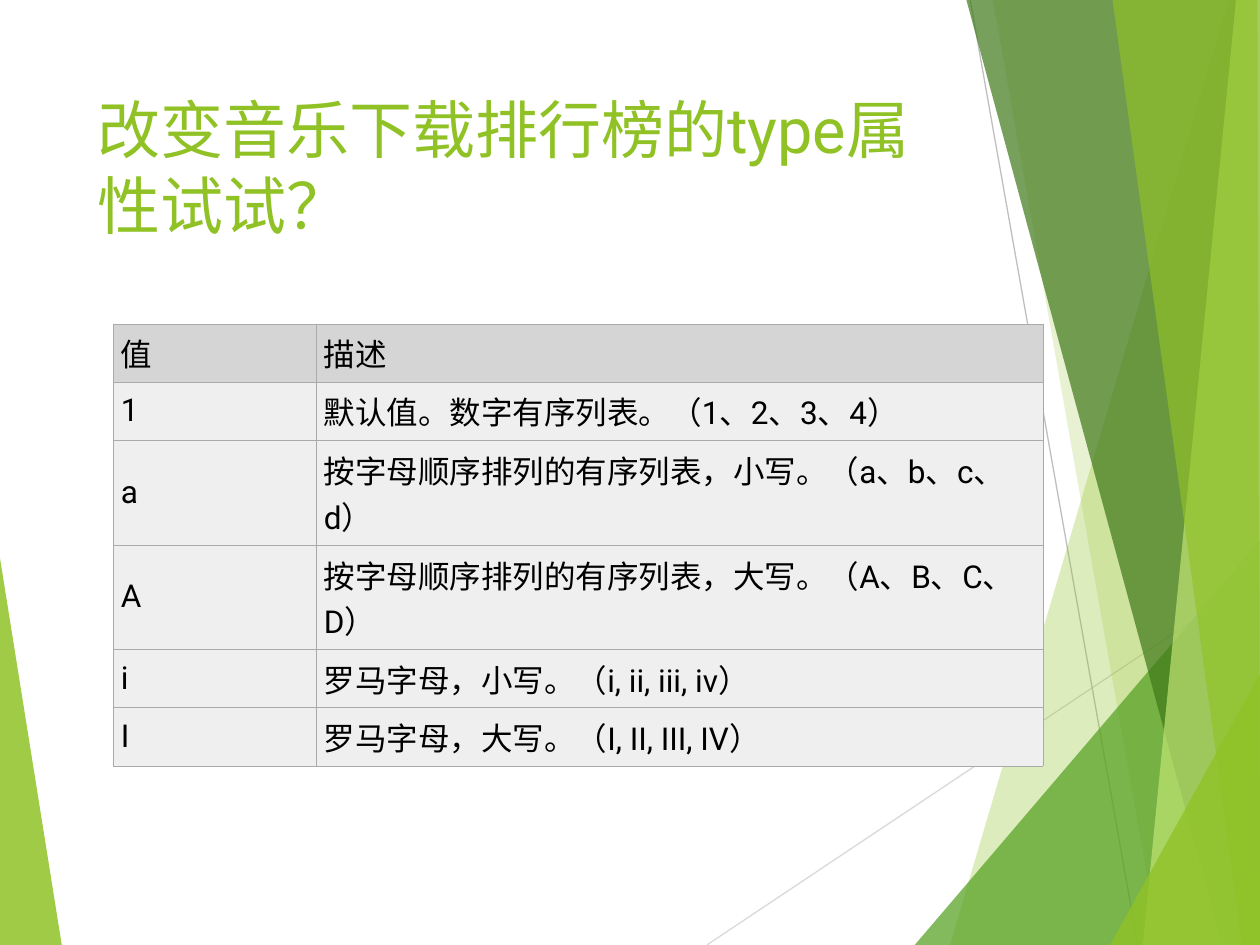
from dataclasses import dataclass

from lxml import etree
from pptx import Presentation
from pptx.dml.color import RGBColor
from pptx.enum.shapes import MSO_CONNECTOR
from pptx.enum.text import MSO_ANCHOR, MSO_AUTO_SIZE, PP_ALIGN
from pptx.oxml.ns import qn
from pptx.util import Inches, Pt

STRAIGHT = MSO_CONNECTOR.STRAIGHT
TOP = MSO_ANCHOR.TOP
MIDDLE = MSO_ANCHOR.MIDDLE
LEFT = PP_ALIGN.LEFT
NO_AUTOFIT = MSO_AUTO_SIZE.NONE
WIDTH, HEIGHT = 10, 7.5


@dataclass(frozen=True)
class Theme:
    font: str = "Roboto"
    title_size: float = 36
    body_size: float = 18
    accent: str = "90C226"
    leaf: str = "54A021"
    forest: str = "3F7819"
    lime: str = "C0E474"
    text: str = "000000"
    header_fill: str = "D5D5D5"
    body_fill: str = "EFEFEF"
    border: str = "AAAAAA"
    border_width: float = 0.34
    ray_width: float = 0.74


THEME = Theme()

# Thin rays: start, end, colour
RAYS = [
    ((5.61, HEIGHT), (WIDTH, 4.57), "D9D9D9"),
    ((7.7, 0), (9.03, HEIGHT), "BFBFBF"),
]

# Translucent facets, back to front: corners, colour, opacity in percent
LEFT_FACET = ([(0, 4.43), (0.49, HEIGHT), (0, HEIGHT)], THEME.accent, 85)


def band(top_left, bottom_left, top=0):
    """Corners of a facet that reaches the right edge of the slide."""
    return [(top_left, top), (bottom_left, HEIGHT), (WIDTH, HEIGHT), (WIDTH, top)]


RIGHT_FACETS = [
    (band(9.75, 7.54), THEME.accent, 30),
    (band(7.88, 9.2), THEME.accent, 20),
    (band(WIDTH, 7.26, 4.29)[:3], THEME.leaf, 72),
    (band(7.67, 9.7), THEME.forest, 70),
    (band(9.81, 9.07), THEME.lime, 70),
    ([(8.83, 0), (9.86, HEIGHT), (WIDTH, HEIGHT), (9.98, 0)], THEME.accent, 65),
    (band(WIDTH, 8.81, 5.35)[:3], THEME.accent, 80),
]

TITLE = "改变音乐下载排行榜的type属性试试？"
COLUMNS = [1.61, 5.77]
ONE_LINE, TWO_LINES = 0.46, 0.83
ROWS = [
    (ONE_LINE, "值", "描述"),
    (ONE_LINE, "1", "默认值。数字有序列表。（1、2、3、4）"),
    (TWO_LINES, "a", "按字母顺序排列的有序列表，小写。（a、b、c、d）"),
    (TWO_LINES, "A", "按字母顺序排列的有序列表，大写。（A、B、C、D）"),
    (ONE_LINE, "i", "罗马字母，小写。（i, ii, iii, iv）"),
    (ONE_LINE, "I", "罗马字母，大写。（I, II, III, IV）"),
]


def set_values(target, values):
    for name, value in values.items():
        setattr(target, name, value)


def write_text(frame, text, size, color):
    paragraph = frame.paragraphs[0]
    paragraph.alignment = LEFT
    span = paragraph.add_run()
    span.text = text
    set_values(span.font, {"name": THEME.font, "size": Pt(size), "bold": False})
    span.font.color.rgb = RGBColor.from_string(color)
    return span


def add_ray(page, start, end, color):
    points = [Inches(value) for value in (*start, *end)]
    ray = page.shapes.add_connector(STRAIGHT, *points)
    ray.line.color.rgb = RGBColor.from_string(color)
    ray.line.width = Pt(THEME.ray_width)
    etree.SubElement(ray._element.spPr, qn("a:effectLst"))


def add_facet(page, corners, color, opacity):
    points = [(Inches(x), Inches(y)) for x, y in corners]
    builder = page.shapes.build_freeform(*points[0])
    builder.add_line_segments(points[1:], close=True)
    facet = builder.convert_to_shape()
    facet.shadow.inherit = False
    facet.line.fill.background()
    facet.fill.solid()
    facet.fill.fore_color.rgb = RGBColor.from_string(color)
    color_node = facet._element.spPr.find(".//" + qn("a:srgbClr"))
    etree.SubElement(color_node, qn("a:alpha")).set("val", str(opacity * 1000))


def add_title(page):
    title = page.shapes.title
    set_values(title, {"left": Inches(0.67), "top": Inches(0.67),
                       "width": Inches(6.94), "height": Inches(1.44)})
    set_values(title.text_frame, {"word_wrap": True, "auto_size": NO_AUTOFIT,
                                  "vertical_anchor": TOP})
    span = write_text(title.text_frame, TITLE, THEME.title_size, THEME.accent)
    east_asian = etree.SubElement(span.font._element, qn("a:ea"))
    east_asian.set("typeface", THEME.font)
    # Bring the title in front of the facets
    page.shapes._spTree.append(title._element)


def add_borders(cell):
    properties = cell._tc.get_or_add_tcPr()
    for side in ("a:lnL", "a:lnR", "a:lnT", "a:lnB"):
        line = etree.SubElement(properties, qn(side), w=str(Pt(THEME.border_width)))
        fill = etree.SubElement(line, qn("a:solidFill"))
        etree.SubElement(fill, qn("a:srgbClr"), val=THEME.border)


def format_cell(cell, text, fill):
    set_values(cell, {"vertical_anchor": MIDDLE,
                      "margin_left": Inches(0.06), "margin_right": Inches(0.16),
                      "margin_top": Inches(0.05), "margin_bottom": Inches(0.05)})
    add_borders(cell)
    cell.fill.solid()
    cell.fill.fore_color.rgb = RGBColor.from_string(fill)
    write_text(cell.text_frame, text, THEME.body_size, THEME.text)


def add_value_table(page):
    height = sum(row[0] for row in ROWS)
    frame = page.shapes.add_table(len(ROWS), len(COLUMNS), Inches(0.9), Inches(2.57),
                                  Inches(sum(COLUMNS)), Inches(height))
    table = frame.table
    set_values(table, {"first_row": False, "horz_banding": False})
    for column, width in zip(table.columns, COLUMNS):
        column.width = Inches(width)
    for index, (row_height, *texts) in enumerate(ROWS):
        table.rows[index].height = Inches(row_height)
        fill = THEME.body_fill if index else THEME.header_fill
        for cell, text in zip(table.rows[index].cells, texts):
            format_cell(cell, text, fill)


def main():
    deck = Presentation()
    set_values(deck, {"slide_width": Inches(WIDTH), "slide_height": Inches(HEIGHT)})
    page = deck.slides.add_slide(deck.slide_layouts[5])

    # Background decoration
    add_facet(page, *LEFT_FACET)
    for ray in RAYS:
        add_ray(page, *ray)
    for facet in RIGHT_FACETS:
        add_facet(page, *facet)

    # Content
    add_title(page)
    add_value_table(page)
    deck.save("out.pptx")


main()
